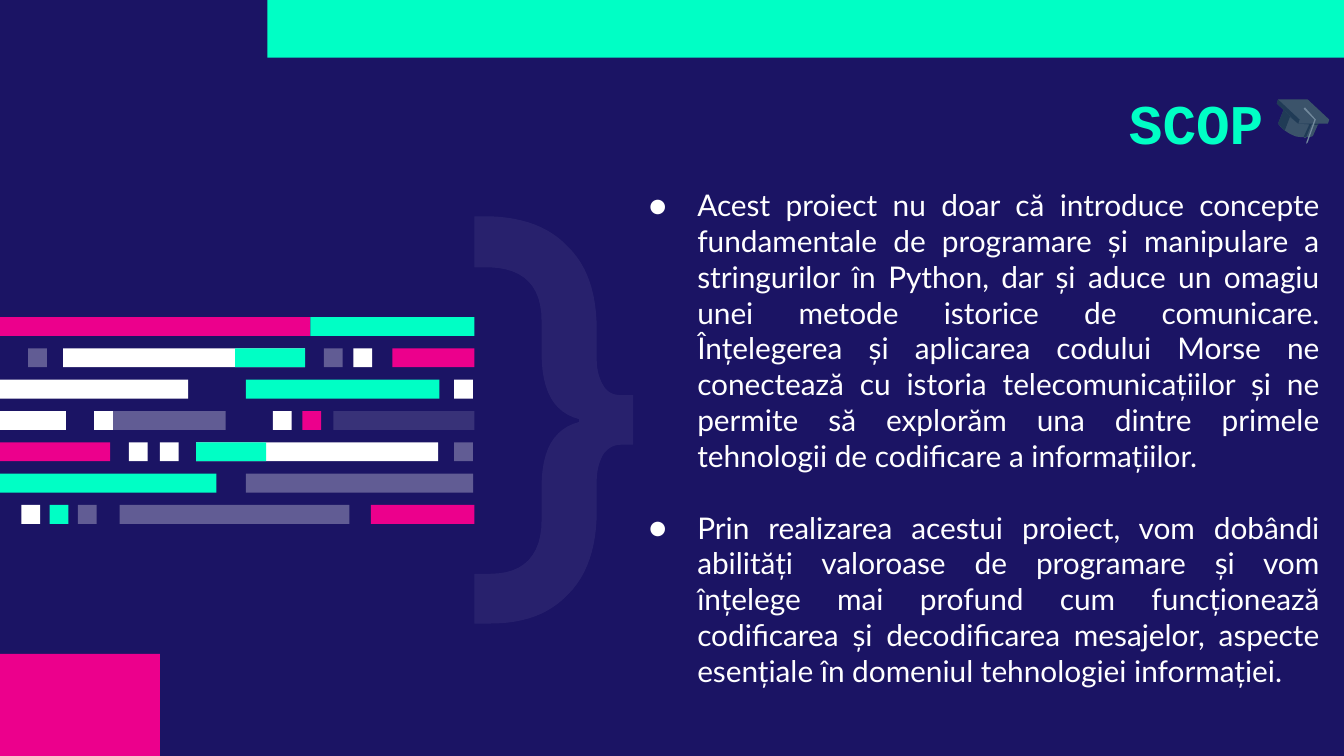
from dataclasses import dataclass

from lxml import etree
from pptx import Presentation
from pptx.dml.color import RGBColor
from pptx.enum.shapes import MSO_SHAPE
from pptx.enum.text import MSO_ANCHOR, MSO_AUTO_SIZE, PP_ALIGN
from pptx.oxml.ns import qn
from pptx.util import Inches, Pt

RECT = MSO_SHAPE.RECTANGLE
RIGHT, JUSTIFY = PP_ALIGN.RIGHT, PP_ALIGN.JUSTIFY
TOP, MIDDLE = MSO_ANCHOR.TOP, MSO_ANCHOR.MIDDLE
TITLE_ONLY = 5
SLIDE_WIDTH = 10
SLIDE_HEIGHT = SLIDE_WIDTH * 9 / 16


@dataclass(frozen=True)
class Theme:
    navy: str = "1B1464"
    mint: str = "00FFC5"
    pink: str = "EC008C"
    white: str = "FFFFFF"
    cap_light: str = "3B536A"
    cap_dark: str = "203B56"
    tassel: str = "738A9D"
    title_font: str = "Courier New"
    body_font: str = "Lato"
    title_size: float = 30
    body_size: float = 16


T = Theme()


@dataclass(frozen=True)
class Bar:
    row: int
    left: float
    width: float = 0.14
    color: str = T.white
    alpha: int = 100


@dataclass(frozen=True)
class Outline:
    """Points are (x, y) for a line or (x1, y1, x2, y2, x, y) for a curve."""
    color: str
    points: tuple
    alpha: int = 100


ROW_TOP, ROW_PITCH, BAR_HEIGHT = 2.36, 0.233, 0.14
DIM, FAINT = 31, 13
BARS = [
    Bar(0, 0, 2.31, T.pink), Bar(0, 2.31, 1.22, T.mint),
    Bar(1, 0.21, alpha=DIM), Bar(1, 0.47, 1.8), Bar(1, 1.75, 0.52, T.mint),
    Bar(1, 2.41, alpha=DIM), Bar(1, 2.63), Bar(1, 2.92, 0.61, T.pink),
    Bar(2, 0, 1.4), Bar(2, 1.83, 1.44, T.mint), Bar(2, 3.38),
    Bar(3, 0, 0.49), Bar(3, 0.7), Bar(3, 0.7, 0.98, alpha=DIM), Bar(3, 2.03),
    Bar(3, 2.25, color=T.pink), Bar(3, 2.48, 1.05, alpha=FAINT),
    Bar(4, 0, 0.82, T.pink), Bar(4, 0.96), Bar(4, 1.19), Bar(4, 1.46, 1.8),
    Bar(4, 1.46, 0.52, T.mint), Bar(4, 3.38, alpha=DIM),
    Bar(5, 0, 1.61, T.mint), Bar(5, 1.83, 1.69, alpha=DIM),
    Bar(6, 0.16), Bar(6, 0.37, color=T.mint), Bar(6, 0.58, alpha=DIM),
    Bar(6, 0.89, 1.71, alpha=DIM), Bar(6, 2.76, 0.77, T.pink),
]

BRACE = Outline(T.white, (
    (3.53, 1.61), (3.53, 1.99), (3.65, 1.99), (3.9, 2, 4.03, 2.13, 4.03, 2.39),
    (4.03, 2.63), (4.03, 2.91, 4.12, 3.07, 4.31, 3.12), (4.31, 3.14),
    (4.12, 3.19, 4.03, 3.35, 4.03, 3.62), (4.03, 3.87),
    (4.03, 4.13, 3.9, 4.27, 3.65, 4.27), (3.53, 4.27), (3.53, 4.64), (3.65, 4.64),
    (3.9, 4.64, 4.09, 4.57, 4.23, 4.42), (4.37, 4.28, 4.44, 4.07, 4.44, 3.81),
    (4.44, 3.58), (4.44, 3.5, 4.46, 3.43, 4.49, 3.38),
    (4.52, 3.34, 4.56, 3.31, 4.62, 3.31), (4.71, 3.31), (4.71, 2.94), (4.62, 2.94),
    (4.56, 2.94, 4.52, 2.92, 4.49, 2.87), (4.46, 2.82, 4.44, 2.76, 4.44, 2.67),
    (4.44, 2.45), (4.44, 2.18, 4.37, 1.98, 4.23, 1.84),
    (4.09, 1.69, 3.9, 1.62, 3.65, 1.61)), alpha=6)

GRADUATION_CAP = [
    # Crown, its shaded side and the folds
    Outline(T.cap_light, (
        (9.55, 0.82), (9.51, 0.92), (9.54, 0.96, 9.58, 0.99, 9.63, 1.01),
        (9.65, 1.02, 9.68, 1.02, 9.7, 1.02), (9.71, 1.03, 9.71, 1.03, 9.72, 1.02),
        (9.74, 1.02, 9.76, 1.02, 9.77, 1.01), (9.81, 0.92))),
    Outline(T.cap_dark, (
        (9.55, 0.82), (9.51, 0.92), (9.53, 0.94, 9.54, 0.96, 9.56, 0.97), (9.61, 0.84))),
    Outline(T.cap_dark, ((9.75, 0.91), (9.7, 1.02), (9.72, 1.02), (9.76, 0.92))),
    Outline(T.cap_dark, (
        (9.55, 0.82), (9.55, 0.83), (9.66, 0.92), (9.81, 0.93), (9.81, 0.92))),
    # Board, its edge and the tassel
    Outline(T.cap_light, (
        (9.73, 0.74), (9.51, 0.74), (9.5, 0.77), (9.66, 0.92), (9.88, 0.92), (9.89, 0.89))),
    Outline(T.cap_dark, ((9.51, 0.74), (9.5, 0.77), (9.66, 0.92), (9.67, 0.89))),
    Outline(T.tassel, (
        (9.71, 0.8), (9.7, 0.81), (9.78, 0.89), (9.72, 1.06), (9.72, 1.07),
        (9.73, 1.06), (9.79, 0.89))),
]

GOALS = [
    "Acest proiect nu doar că introduce concepte fundamentale de programare și "
    "manipulare a stringurilor în Python, dar și aduce un omagiu unei metode istorice "
    "de comunicare. Înțelegerea și aplicarea codului Morse ne conectează cu istoria "
    "telecomunicațiilor și ne permite să explorăm una dintre primele tehnologii de "
    "codificare a informațiilor.",
    "Prin realizarea acestui proiect, vom dobândi abilități valoroase de programare și "
    "vom înțelege mai profund cum funcționează codificarea și decodificarea mesajelor, "
    "aspecte esențiale în domeniul tehnologiei informației.",
]


def paint(sp, color: str, alpha: int = 100) -> None:
    sp.shadow.inherit = False
    sp.line.fill.background()
    sp.fill.solid()
    sp.fill.fore_color.rgb = RGBColor.from_string(color)
    if alpha < 100:
        clr = sp.element.spPr.find(qn("a:solidFill")).find(qn("a:srgbClr"))
        etree.SubElement(clr, qn("a:alpha")).set("val", str(alpha * 1000))


def add_rect(shapes, left: float, top: float, width: float, height: float,
             color: str, alpha: int = 100) -> None:
    sp = shapes.add_shape(RECT, Inches(left), Inches(top), Inches(width), Inches(height))
    paint(sp, color, alpha)


def flatten(points: tuple, steps: int = 12) -> list:
    """Turn curves into short straight segments."""
    out = []
    for point in points:
        if len(point) == 2:
            out.append(point)
            continue
        a, b, c, d = out[-1], point[:2], point[2:4], point[4:]
        for i in range(1, steps + 1):
            t = i / steps
            u = 1 - t
            out.append(tuple(u**3 * a[k] + 3 * u * u * t * b[k] + 3 * u * t * t * c[k]
                             + t**3 * d[k] for k in (0, 1)))
    return out


def add_outline(shapes, outline: Outline) -> None:
    start, *rest = [(Inches(x), Inches(y)) for x, y in flatten(outline.points)]
    builder = shapes.build_freeform(*start)
    builder.add_line_segments(rest, close=True)
    paint(builder.convert_to_shape(), outline.color, outline.alpha)


def write(tf, texts: list, *, font: str, size: float, color: str, align, anchor,
          bold: bool = False, bullet: str = "", gap: float = 0) -> None:
    tf.word_wrap = True
    tf.auto_size = MSO_AUTO_SIZE.NONE
    tf.vertical_anchor = anchor
    tf.margin_left = tf.margin_right = tf.margin_top = tf.margin_bottom = Inches(0.1)
    for i, text in enumerate(texts):
        p = tf.add_paragraph() if i else tf.paragraphs[0]
        p.alignment, p.line_spacing = align, 1.0
        p.space_before = Pt(gap if i else 0)
        r = p.add_run()
        r.text = text
        r.font.name, r.font.size, r.font.bold = font, Pt(size), bold
        r.font.color.rgb = RGBColor.from_string(color)
        if bullet:
            pPr = p._p.get_or_add_pPr()
            pPr.set("marL", str(Inches(0.5)))
            pPr.set("indent", str(Inches(-0.36)))
            clr = etree.SubElement(pPr, qn("a:buClr"))
            etree.SubElement(clr, qn("a:srgbClr")).set("val", color)
            etree.SubElement(pPr, qn("a:buFont")).set("typeface", font)
            etree.SubElement(pPr, qn("a:buChar")).set("char", bullet)


def main() -> None:
    prs = Presentation()
    prs.slide_width, prs.slide_height = Inches(SLIDE_WIDTH), Inches(SLIDE_HEIGHT)
    s = prs.slides.add_slide(prs.slide_layouts[TITLE_ONLY])
    s.background.fill.solid()
    s.background.fill.fore_color.rgb = RGBColor.from_string(T.navy)

    # Backdrop: top band, code lines, brace and corner block
    add_rect(s.shapes, 1.99, 0, 8.01, 0.43, T.mint)
    for bar in BARS:
        add_rect(s.shapes, bar.left, ROW_TOP + bar.row * ROW_PITCH, bar.width,
                 BAR_HEIGHT, bar.color, bar.alpha)
    add_outline(s.shapes, BRACE)
    add_rect(s.shapes, 0, SLIDE_HEIGHT - 0.76, 1.19, 0.76, T.pink)

    # Title
    title = s.shapes.title
    title.left, title.top = Inches(7.84), Inches(0.58)
    title.width, title.height = Inches(1.66), Inches(0.66)
    write(title.text_frame, ["SCOP"], font=T.title_font, size=T.title_size,
          color=T.mint, align=RIGHT, anchor=MIDDLE, bold=True)

    # Goals
    body = s.shapes.add_textbox(Inches(4.59), Inches(1.29), Inches(5.33), Inches(4.21))
    write(body.text_frame, GOALS, font=T.body_font, size=T.body_size, color=T.white,
          align=JUSTIFY, anchor=TOP, bullet="●", gap=19.2)

    # Graduation cap
    cap = s.shapes.add_group_shape()
    for outline in GRADUATION_CAP:
        add_outline(cap.shapes, outline)

    prs.save("out.pptx")


if __name__ == "__main__":
    main()
